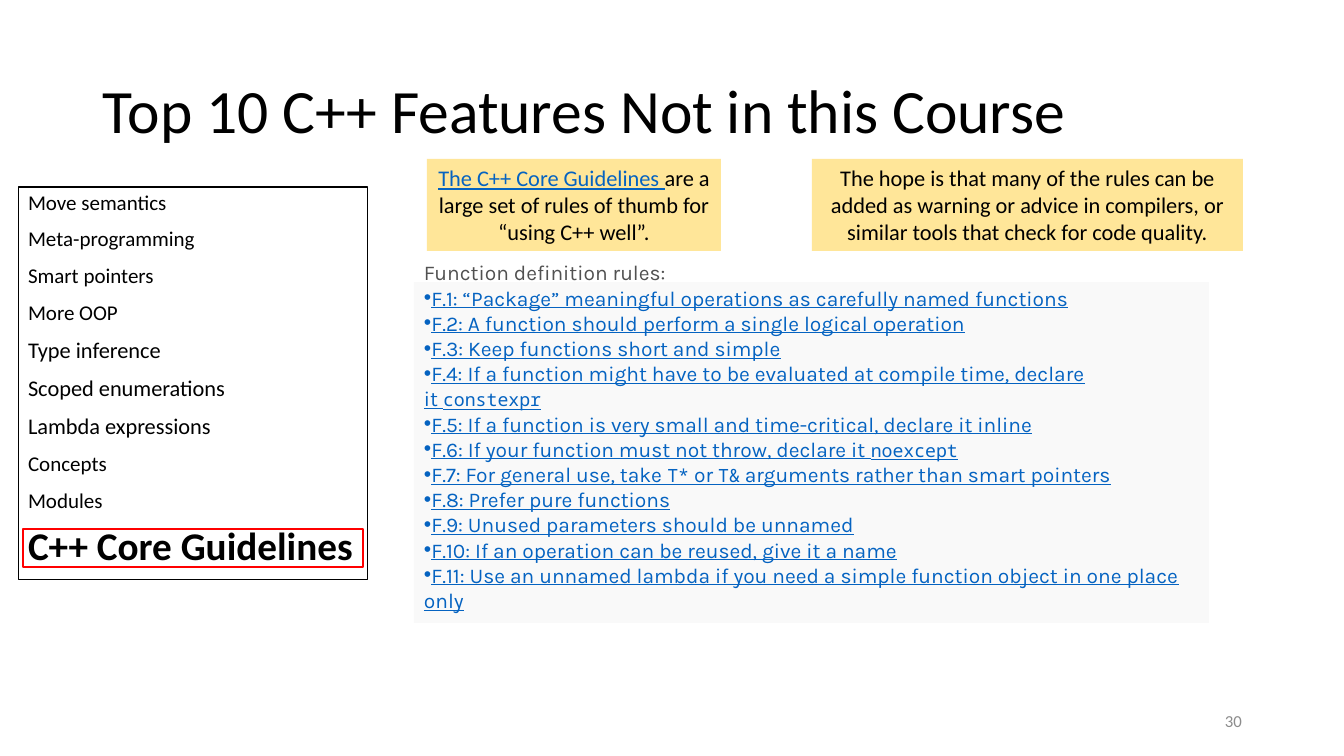
from dataclasses import dataclass
from lxml import etree
from pptx import Presentation
from pptx.dml.color import RGBColor
from pptx.enum.shapes import MSO_SHAPE
from pptx.enum.text import MSO_ANCHOR, PP_ALIGN
from pptx.oxml.ns import qn
from pptx.util import Emu, Pt

RECT = MSO_SHAPE.RECTANGLE
TOP, MIDDLE = MSO_ANCHOR.TOP, MSO_ANCHOR.MIDDLE
LEFT, CENTER, RIGHT = PP_ALIGN.LEFT, PP_ALIGN.CENTER, PP_ALIGN.RIGHT
HARD_SPACE = chr(160)

TITLE = "Top 10 C++ Features Not in this Course"
PAGE = "30"
FEATURES = [
    ("Move semantics", 15), ("Meta-programming", 15), ("Smart pointers", 15),
    ("More OOP", 15), ("Type inference", 16), ("Scoped enumerations", 16),
    ("Lambda expressions", 16), ("Concepts", 15), ("Modules", 15),
]
CURRENT = "C++ Core Guidelines"
NOTE_LINK = "The C++ Core Guidelines "
NOTE_REST = "are a large set of rules of thumb for “using C++ well”."
HOPE = ("The hope is that many of the rules can be added as warning or advice in "
        "compilers, or similar tools that check for code quality.")
RULES_HEAD = "Function definition rules:"
RULES = [
    ["F.1: “Package” meaningful operations as carefully named functions"],
    ["F.2: A function should perform a single logical operation"],
    ["F.3: Keep functions short and simple"],
    ["F.4: If a function might have to be evaluated at compile time, declare it~", "constexpr"],
    ["F.5: If a function is very small and time-critical, declare it inline"],
    ["F.6: If your function must not throw, declare it~", "noexcept"],
    ["F.7: For general use, take~", "T*", "~or~", "T&", "~arguments rather than smart pointers"],
    ["F.8: Prefer pure functions"],
    ["F.9: Unused parameters should be unnamed"],
    ["F.10: If an operation can be reused, give it a name"],
    ["F.11: Use an unnamed lambda if you need a simple function object in one place only"],
]


@dataclass(frozen=True)
class Theme:
    sans: str = "Calibri"
    rules: str = "Karla"
    mono: str = "Noto Sans Mono"
    ink: str = "000000"
    link: str = "0563C1"
    grey: str = "515151"
    page: str = "8C8C8C"
    note: str = "FFE699"
    panel: str = "F9F9F9"
    focus: str = "FF0000"
    title_size: int = 44
    current_size: int = 28
    note_size: int = 16
    rule_size: int = 15
    code_size: int = 13
    page_size: int = 12


T = Theme()


def px(n):
    return Emu(round(n * 914400 / 100.8))


def style(font, size, color, name=T.sans):
    font.size, font.name = Pt(size), name
    font.color.rgb = RGBColor.from_string(color)


def set_frame(tf, anchor, top, bottom):
    tf.word_wrap = True
    tf.vertical_anchor = anchor
    tf.margin_left = tf.margin_right = px(10)
    tf.margin_top, tf.margin_bottom = px(top), px(bottom)


def box(s, x, y, w, h, fill=None, line=None, weight=1, top=5, bottom=5):
    sp = s.shapes.add_shape(RECT, px(x), px(y), px(w), px(h))
    sp.shadow.inherit = False
    if fill:
        sp.fill.solid()
        sp.fill.fore_color.rgb = RGBColor.from_string(fill)
    else:
        sp.fill.background()
    if line:
        sp.line.color.rgb = RGBColor.from_string(line)
        sp.line.width = Pt(weight)
    else:
        sp.line.fill.background()
    set_frame(sp.text_frame, TOP, top, bottom)
    return sp.text_frame


def label(s, x, y, w, h, inset=5):
    tf = s.shapes.add_textbox(px(x), px(y), px(w), px(h)).text_frame
    set_frame(tf, MIDDLE, inset, inset)
    return tf


def write(tf, text, size, color=T.ink, align=LEFT, name=T.sans):
    first = tf.paragraphs[0]
    p = tf.add_paragraph() if first.runs else first
    p.alignment = align
    style(p.font, size, color, name)
    if text:
        p.add_run().text = text
    return p


def add_bullet(p):
    ppr = p._p.get_or_add_pPr()
    ppr.set("marL", "0")
    ppr.set("indent", "0")
    font = etree.Element(qn("a:buFont"), typeface="Arial")
    ppr.insert(0, font)
    font.addnext(etree.Element(qn("a:buChar"), char="•"))


def add_features(s):
    tf = box(s, 18, 187, 350, 393, line=T.ink, weight=0.75)
    for text, size in FEATURES + [(CURRENT, T.current_size)]:
        p = write(tf, text, size)
        p.line_spacing, p.space_before = 0.9, Pt(10)
        p.font.bold = text == CURRENT
    box(s, 23, 529, 340, 38, line=T.focus)


def add_notes(s):
    tf = box(s, 427, 159, 294, 92, fill=T.note)
    p = write(tf, NOTE_LINK, T.note_size, align=CENTER)
    link = p.runs[0].font
    link.underline = True
    link.color.rgb = RGBColor.from_string(T.link)
    p.add_run().text = NOTE_REST
    tf = box(s, 812, 159, 431, 92, fill=T.note)
    write(tf, HOPE, T.note_size, align=CENTER)


def add_rules(s):
    tf = box(s, 414, 282, 795, 341, fill=T.panel, top=3)
    for parts in RULES:
        p = write(tf, "", T.rule_size, T.link, name=T.rules)
        p.font.underline = True
        add_bullet(p)
        for i, part in enumerate(parts):
            r = p.add_run()
            r.text = part.replace("~", HARD_SPACE)
            if i % 2:
                style(r.font, T.code_size, T.link, T.mono)
    head = label(s, 414, 259, 795, 26, inset=0)
    write(head, RULES_HEAD, T.rule_size, T.grey, name=T.rules)


def main():
    prs = Presentation()
    prs.slide_width, prs.slide_height = px(1344), px(756)
    s = prs.slides.add_slide(prs.slide_layouts[6])
    p = write(label(s, 93, 41, 1159, 146), TITLE, T.title_size)
    p.line_spacing = 0.9
    add_features(s)
    write(label(s, 950, 701, 302, 40), PAGE, T.page_size, T.page, RIGHT)
    add_notes(s)
    add_rules(s)
    prs.save("out.pptx")


if __name__ == "__main__":
    main()
